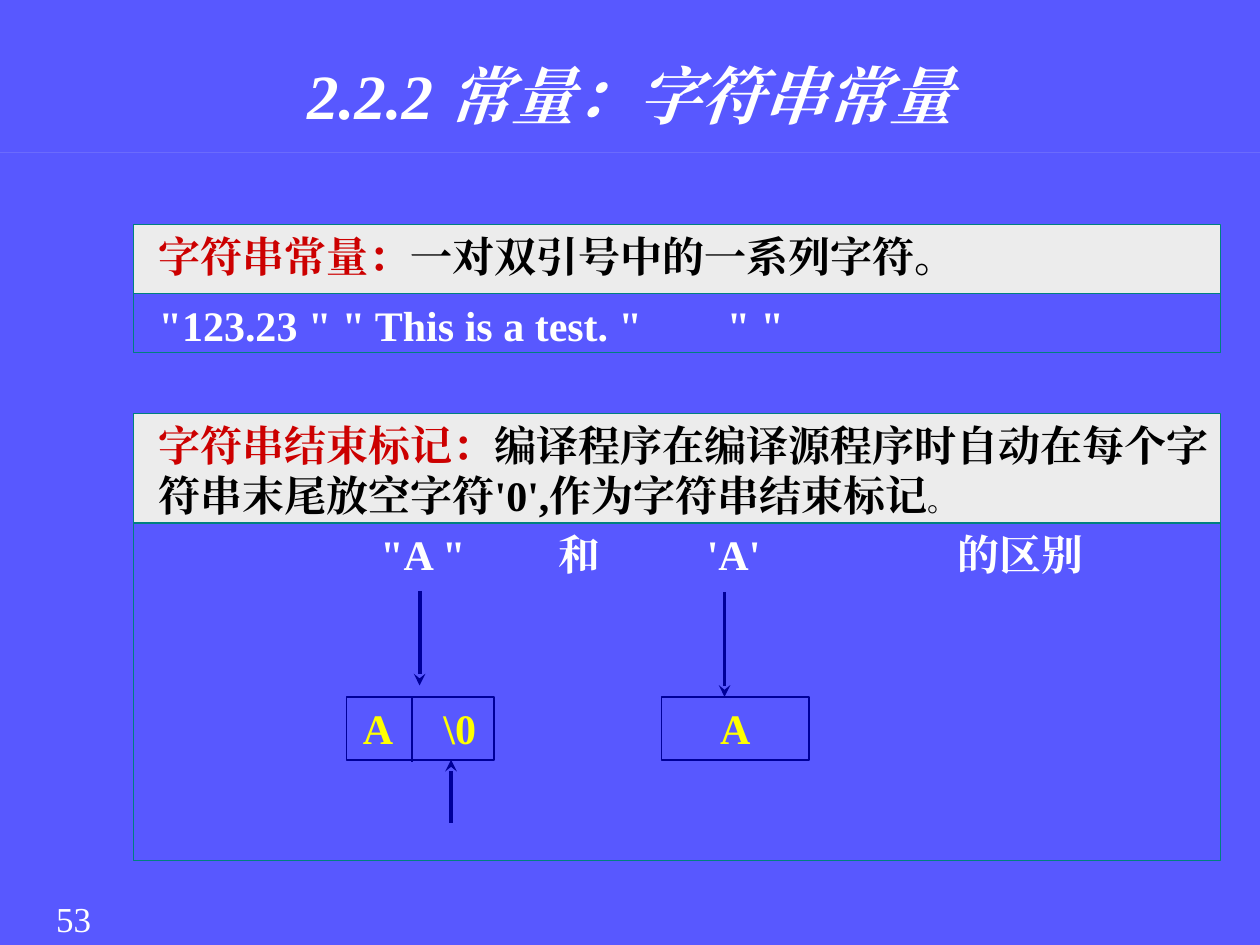
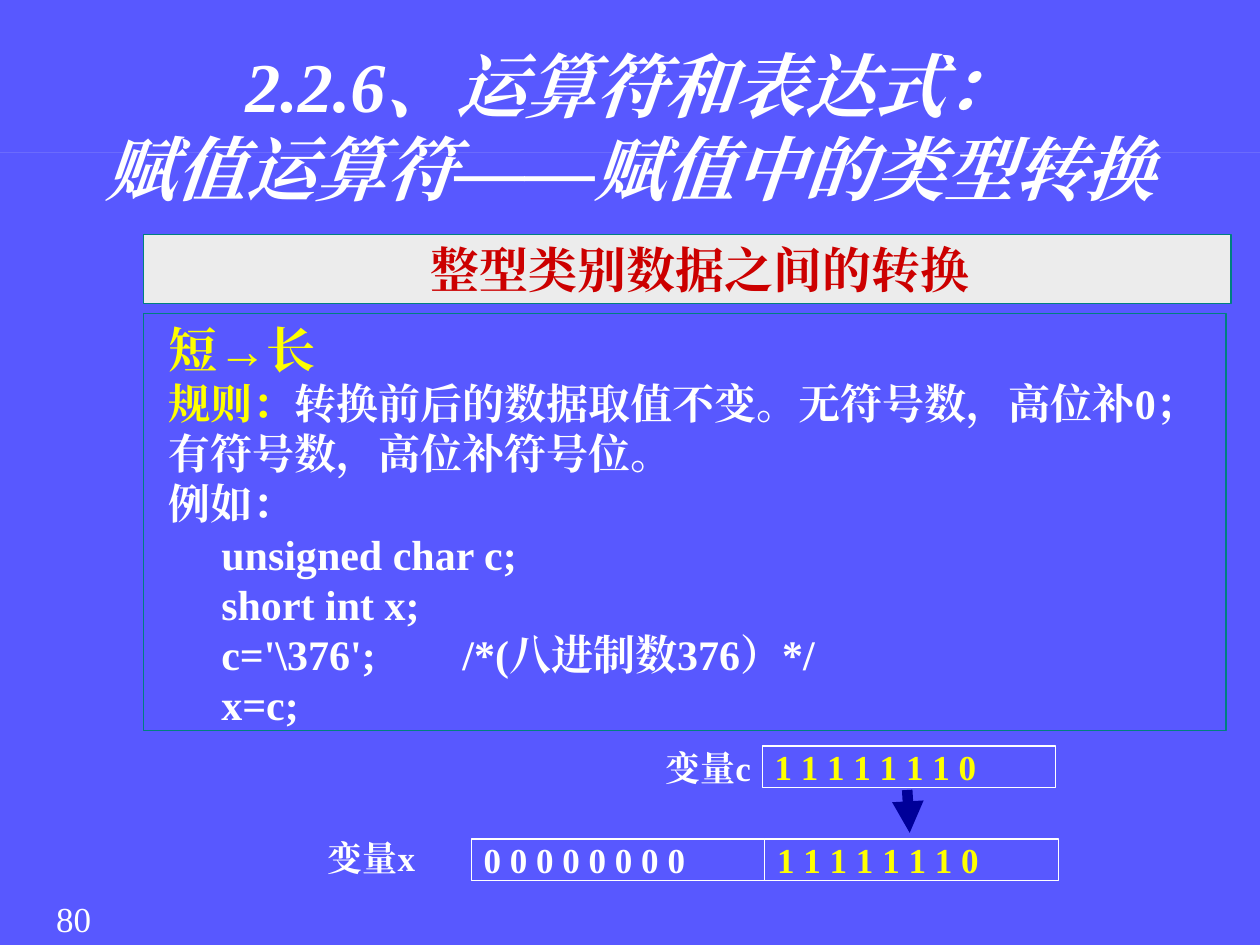
from lxml import etree
from pptx import Presentation
from pptx import util as u
from pptx.dml.color import RGBColor
from pptx.enum import shapes, text
from pptx.oxml import ns

BACKGROUND = RGBColor(0x58, 0x58, 0xFF)
RULE = RGBColor(0xF0, 0xF0, 0xF0)
PANEL = RGBColor(0xEC, 0xEC, 0xEC)
TEAL = RGBColor(0x00, 0x80, 0x80)
NAVY = RGBColor(0x00, 0x00, 0x99)
RED = RGBColor(0xCC, 0x00, 0x00)
YELLOW = RGBColor(0xFF, 0xFF, 0x00)
WHITE = RGBColor(0xFF, 0xFF, 0xFF)
BLACK = RGBColor(0x00, 0x00, 0x00)
FONT = "Times New Roman"
LEFT = text.PP_ALIGN.LEFT
CENTER = text.PP_ALIGN.CENTER
LINE_HEIGHT = 1.19


def style_run(run, size, color, bold=True, italic=False):
    font = run.font
    font.name, font.size, font.bold, font.italic = FONT, u.Pt(size), bold, italic
    font.color.rgb = color
    east_asian = etree.SubElement(run._r.get_or_add_rPr(), ns.qn("a:ea"))
    east_asian.set("typeface", FONT)


def set_frame(frame, inset, anchor=text.MSO_ANCHOR.TOP):
    frame.word_wrap = True
    frame.auto_size = text.MSO_AUTO_SIZE.NONE
    frame.vertical_anchor = anchor
    frame.margin_left, frame.margin_right = u.Inches(inset), 0
    frame.margin_top = frame.margin_bottom = u.Inches(0.05)


def write(frame, lines, align=LEFT, tabs=()):
    for index, pieces in enumerate(lines):
        paragraph = frame.add_paragraph() if index else frame.paragraphs[0]
        if tabs:
            stops = etree.SubElement(paragraph._p.get_or_add_pPr(), ns.qn("a:tabLst"))
            for position in tabs:
                etree.SubElement(stops, ns.qn("a:tab"), pos=str(u.Inches(position)), algn="l")
        paragraph.alignment = align
        paragraph.line_spacing = u.Pt(round(pieces[0][1] * LINE_HEIGHT, 1))
        paragraph.space_before = u.Pt(0)
        for words, size, color in pieces:
            run = paragraph.add_run()
            run.text = words
            style_run(run, size, color)


def add_box(slide, left, top, width, height, fill=None, line=None, weight=0.75):
    box = slide.shapes.add_shape(
        shapes.MSO_SHAPE.RECTANGLE, *map(u.Inches, (left, top, width, height)))
    box.shadow.inherit = False
    if fill is None:
        box.fill.background()
    else:
        box.fill.solid()
        box.fill.fore_color.rgb = fill
    if line is None:
        box.line.fill.background()
    else:
        box.line.color.rgb = line
        box.line.width = u.Pt(weight)
    return box


def add_panel(slide, left, top, width, height, lines, fill=None, align=LEFT, tabs=()):
    panel = add_box(slide, left, top, width, height, fill, TEAL)
    set_frame(panel.text_frame, 0.2)
    write(panel.text_frame, lines, align, tabs)


def add_cell(slide, left, top, width, height, content, size, color, line, weight,
             align=LEFT, inset=0.1, tabs=()):
    cell = add_box(slide, left, top, width, height, line=line, weight=weight)
    set_frame(cell.text_frame, inset, text.MSO_ANCHOR.MIDDLE)
    write(cell.text_frame, [[(content, size, color)]], align, tabs)


def add_line(slide, start, end, weight, head=None):
    line = slide.shapes.add_connector(
        shapes.MSO_CONNECTOR.STRAIGHT, *map(u.Inches, (*start, *end)))
    line.line.color.rgb = NAVY
    line.line.width = u.Pt(weight)
    if head:
        etree.SubElement(line.line._get_or_add_ln(), ns.qn("a:tailEnd"), type=head)
    etree.SubElement(line._element.spPr, ns.qn("a:effectLst"))


def add_label(slide, left, top, content):
    label = slide.shapes.add_textbox(*map(u.Inches, (left, top, 1.26, 0.43)))
    set_frame(label.text_frame, 0.2)
    write(label.text_frame, [[(content, 20, WHITE)]])


def add_slide(deck, title, title_top, title_size, number):
    slide = deck.slides.add_slide(deck.slide_layouts[5])
    slide.background.fill.solid()
    slide.background.fill.fore_color.rgb = BACKGROUND

    heading = slide.shapes.title
    heading.left, heading.top, heading.width, heading.height = map(
        u.Inches, (0.69, title_top, 8.62, 1.45))
    set_frame(heading.text_frame, 0)
    heading.text_frame.text = title
    paragraph = heading.text_frame.paragraphs[0]
    paragraph.alignment = CENTER
    paragraph.line_spacing = u.Pt(round(title_size * LINE_HEIGHT, 1))
    for run in paragraph.runs:
        style_run(run, title_size, WHITE, italic=True)

    add_box(slide, 0, 1.21, 10, 0, fill=RULE)

    page = slide.shapes.add_textbox(*map(u.Inches, (0.17, 7.07, 0.83, 0.43)))
    set_frame(page.text_frame, 0)
    page.text_frame.text = str(number)
    page.text_frame.paragraphs[0].alignment = CENTER
    style_run(page.text_frame.paragraphs[0].runs[0], 20, WHITE, bold=False)
    return slide


def build_string_constants(deck):
    slide = add_slide(deck, "2.2.2 常量：字符串常量", 0.4, 36, 53)
    left, width = 1.06, 8.63
    add_panel(slide, left, 1.78, width, 0.55,
              [[("字符串常量：", 24, RED), ("一对双引号中的一系列字符。", 24, BLACK)]], PANEL)
    add_panel(slide, left, 2.33, width, 0.47,
              [[('"123.23 " " This is a test. "\t" "', 24, WHITE)]], tabs=[4.51])
    add_panel(slide, left, 3.28, width, 0.87,
              [[("字符串结束标记：", 24, RED),
                ("编译程序在编译源程序时自动在每个字符串末尾放空字符'0',作为字符串结束标记", 24, BLACK),
                ("。", 17, BLACK)]], PANEL)
    add_panel(slide, left, 4.15, width, 2.68,
              [[("\t\"A \"\t和\t'A'\t的区别", 24, WHITE)]], tabs=[1.76, 3.17, 4.35, 6.34])

    add_cell(slide, 5.25, 5.53, 1.17, 0.5, "A", 24, YELLOW, NAVY, 1, CENTER, inset=0)
    add_cell(slide, 2.75, 5.53, 1.17, 0.5, "A\t\\0", 24, YELLOW, NAVY, 1,
             inset=0.13, tabs=[0.64])
    for start, end in (((5.75, 4.7), (5.75, 5.53)),
                       ((3.33, 4.69), (3.33, 5.44)),
                       ((3.58, 6.53), (3.58, 6.03))):
        add_line(slide, start, end, 2.25, "stealth")
    add_line(slide, (3.27, 5.53), (3.27, 6.05), 0.75)


def build_type_conversion(deck):
    slide = add_slide(deck, "2.2.6、运算符和表达式：\v赋值运算符——赋值中的类型转换", 0.29, 40, 80)
    add_panel(slide, 1.14, 1.86, 8.63, 0.55,
              [[("整型类别数据之间的转换", 28, RED)]], PANEL, CENTER)
    code = ["unsigned char c;", "short int x;", "c='\\376';\t/*(八进制数376）*/", "x=c;"]
    rules = [
        [("短→长", 28, YELLOW)],
        [("规则：", 24, YELLOW),
         ("转换前后的数据取值不变。无符号数，高位补0；有符号数，高位补符号位。", 24, WHITE)],
        [("例如：", 24, WHITE)],
    ]
    rules += [[("     " + statement, 24, WHITE)] for statement in code]
    add_panel(slide, 1.14, 2.49, 8.59, 3.31, rules, tabs=[2.33])

    ones, zeros = "1 1 1 1 1 1 1 0", "0 0 0 0 0 0 0 0"
    for left, top, bits, color in ((6.05, 5.92, ones, YELLOW),
                                   (6.07, 6.66, ones, YELLOW),
                                   (3.74, 6.66, zeros, WHITE)):
        add_cell(slide, left, top, 2.33, 0.33, bits, 20, color, WHITE, 0.75)
    add_line(slide, (7.2, 6.27), (7.22, 6.61), 6, "triangle")
    add_label(slide, 5.08, 5.88, "变量c")
    add_label(slide, 2.4, 6.59, "变量x")


def main():
    deck = Presentation()
    deck.slide_width, deck.slide_height = u.Inches(10), u.Inches(7.5)
    build_string_constants(deck)
    build_type_conversion(deck)
    deck.save("out.pptx")


if __name__ == "__main__":
    main()
